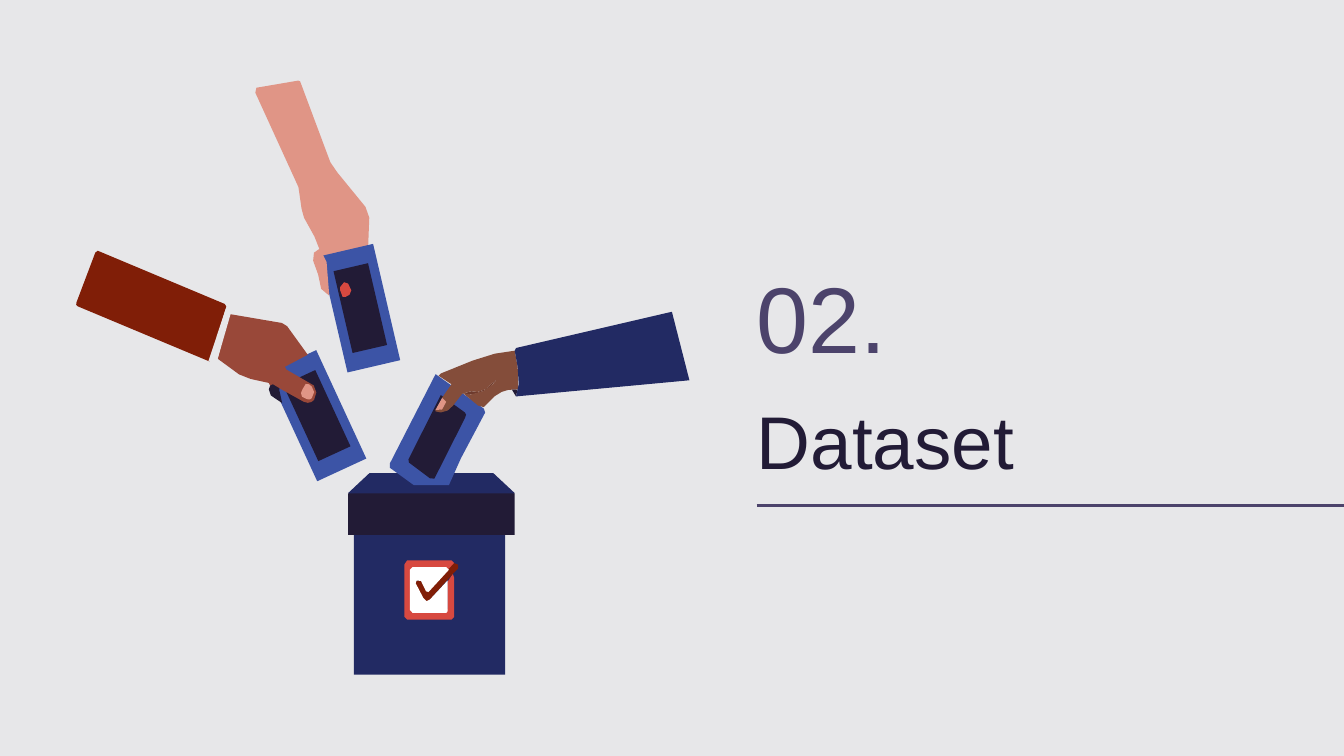
import math
from dataclasses import dataclass

from lxml import etree
from pptx import Presentation
from pptx.dml.color import RGBColor
from pptx.enum import shapes, text
from pptx.oxml.ns import qn
from pptx.util import Pt


@dataclass(frozen=True)
class Theme:
    font: str = "Arial"
    title_size: float = 40
    number_size: float = 50
    background: str = "E7E7E9"
    ink: str = "221B36"
    violet: str = "4C436B"
    navy: str = "222A63"
    blue: str = "3C54A6"
    peach: str = "E09586"
    sienna: str = "994839"
    brown: str = "844D3A"
    crease: str = "6D3A2D"
    maroon: str = "801E07"
    red: str = "D74940"
    white: str = "FFFFFF"


THEME = Theme()
GRID = 0.72
CURVE_STEPS = 4
TOLERANCE = 0.6


def curve_points(start, first, second, end):
    points = []
    for step in range(1, CURVE_STEPS + 1):
        t = step / CURVE_STEPS
        s = 1 - t
        points.append(tuple(
            s**3 * a + 3 * s * s * t * b + 3 * s * t * t * c + t**3 * d
            for a, b, c, d in zip(start, first, second, end)
        ))
    return points


def distance(point, start, end):
    chord = math.dist(start, end)
    if chord < TOLERANCE:
        return math.dist(point, start)
    cross = ((end[0] - start[0]) * (point[1] - start[1])
             - (end[1] - start[1]) * (point[0] - start[0]))
    return abs(cross) / chord


def simplify(points):
    if len(points) < 3:
        return points
    offsets = [distance(point, points[0], points[-1]) for point in points[1:-1]]
    farthest = max(offsets)
    if farthest < TOLERANCE:
        return [points[0], points[-1]]
    split = offsets.index(farthest) + 1
    return simplify(points[:split + 1])[:-1] + simplify(points[split:])


def outline_points(outline):
    points, pending, command = [], [], "M"
    for token in outline.split():
        if token in "MLC":
            command = token
            continue
        pending.append(tuple(float(value) for value in token.split(",")))
        if command != "C":
            points.append(pending.pop())
        elif len(pending) == 3:
            points.extend(curve_points(points[-1], *pending))
            pending = []
    return [(Pt(x * GRID), Pt(y * GRID)) for x, y in simplify(points)]


class SlideBuilder:
    def __init__(self, presentation, theme):
        self.theme = theme
        self.slide = presentation.slides.add_slide(presentation.slide_layouts[0])
        fill = self.slide.background.fill
        fill.solid()
        fill.fore_color.rgb = RGBColor.from_string(theme.background)
        self.group = self.slide.shapes.add_group_shape()

    def placeholder(self, index, words, left, top, width, height, size, color):
        shape = self.slide.placeholders[index]
        shape.left, shape.top, shape.width, shape.height = map(Pt, (left, top, width, height))
        frame = shape.text_frame
        frame.word_wrap = True
        frame.auto_size = text.MSO_AUTO_SIZE.NONE
        frame.vertical_anchor = text.MSO_ANCHOR.MIDDLE
        frame.margin_left = frame.margin_right = Pt(7.2)
        frame.margin_top = frame.margin_bottom = Pt(7.2)
        paragraph = frame.paragraphs[0]
        paragraph.alignment = text.PP_ALIGN.LEFT
        paragraph.space_before = Pt(0)
        run = paragraph.add_run()
        run.text = words
        run.font.name = self.theme.font
        run.font.size = Pt(size)
        run.font.color.rgb = RGBColor.from_string(color)

    def paint(self, shape, color):
        shape.shadow.inherit = False
        shape.fill.solid()
        shape.fill.fore_color.rgb = RGBColor.from_string(color)
        shape.line.fill.background()

    def outline(self, color, path_text):
        points = outline_points(path_text)
        builder = self.group.shapes.build_freeform(*points[0], scale=1.0)
        builder.add_line_segments(points[1:], close=True)
        self.paint(builder.convert_to_shape(), color)

    def rectangle(self, color, left, top, width, height, rotation=0):
        shape = self.group.shapes.add_shape(
            shapes.MSO_SHAPE.RECTANGLE, *map(Pt, (left, top, width, height)))
        shape.rotation = rotation
        self.paint(shape, color)

    def ballot(self, center_x, center_y, rotation):
        for color, width, height in ((self.theme.blue, 64, 29), (self.theme.ink, 45, 19)):
            self.rectangle(color, center_x - width / 2, center_y - height / 2,
                           width, height, rotation)

    def rule(self, left, top, right, color, width):
        connector = self.slide.shapes.add_connector(
            shapes.MSO_CONNECTOR.STRAIGHT, Pt(left), Pt(top), Pt(right), Pt(top))
        connector.line.color.rgb = RGBColor.from_string(color)
        connector.line.width = Pt(width)
        etree.SubElement(connector._element.spPr, qn("a:effectLst"))


def draw_left_arm(builder):
    builder.ballot(169.7, 222.7, 65.2)
    builder.outline(THEME.sienna, """M 208,289 C 214,292 220,295 226,299 230,301 234,299 235,295
        236,291 235,287 231,285 224,281 221,280 213,275 L 212,273 229,264
        C 225,258 221,253 217,247 213,240 207,239 201,239 193,238 186,237 178,235
        L 174,234 C 172,233 171,234 170,236 L 166,252 162,267
        C 167,269 170,273 174,276 179,280 185,282 191,283 L 200,285 201,287 208,289""")
    builder.outline(THEME.maroon, """M 57,225 L 64,207 71,188 C 72,187 72,186 74,187
        L 101,199 166,226 C 168,226 169,227 168,230 L 163,247 156,269 131,259 91,242 58,228
        C 57,227 56,227 57,225""")
    builder.outline(THEME.background, """M 168,230 L 162,249 155,269 160,268 162,267 169,241
        171,235 C 172,234 172,231 170,231""")
    builder.outline(THEME.ink, """M 208,289 L 203,286 201,287
        C 199,291 200,294 204,296 L 210,300 208,291""")
    builder.outline(THEME.peach, """M 225,290 C 223,294 224,295 226,296 230,298 232,298 233,294
        235,291 233,288 230,286 228,285 227,285 225,290""")


def draw_top_arm(builder):
    builder.outline(THEME.peach, """M 272,154 C 267,146 260,139 254,132 250,127 246,123 244,116
        L 229,75 224,62 C 224,61 223,60 222,60 L 192,65 C 190,65 190,67 190,69
        L 218,129 C 221,136 224,142 224,151 224,152 224,155 225,157 226,164 230,170 234,176
        L 238,185 242,196 251,219 C 252,221 253,223 255,224 258,225 260,224 261,223
        263,221 263,214 262,213 L 256,192 256,189 274,183 275,165 C 275,161 274,157 272,154""")
    builder.ballot(193, 165.1, 76.9)
    builder.outline(THEME.peach, """M 243,195 L 243,198 245,220 C 243,219 241,218 239,215
        239,214 238,214 238,211 238,208 237,205 236,202 L 233,194 C 232,189 234,186 238,185
        241,188 241,192 243,195""")
    builder.outline(THEME.red, """M 257,221 L 255,221 C 253,217 252,214 254,212 L 256,210
        C 258,210 259,211 259,211 261,213 262,215 261,218 260,220 258,221 257,221""")


def draw_ballot_box(builder):
    builder.outline(THEME.navy, "M 383,367 L 367,352 275,352 259,367 261,368 381,368")
    builder.rectangle(THEME.navy, 189.6, 276.5, 81, 85)
    builder.outline(THEME.red, """M 337,427 L 338,430 338,459 336,461 303,461 301,459 301,420
        303,417 336,417 338,419 334,424 330,423 308,423 306,426 306,453 308,456 331,456
        333,453 333,433""")
    builder.outline(THEME.maroon, """M 337,427 L 333,432 320,446 C 319,448 317,448 315,446
        L 310,437 C 309,435 309,433 310,432 311,431 313,431 314,433 L 317,439
        C 318,440 319,440 320,439 L 332,426 338,419 C 341,419 342,421 341,423""")
    builder.outline(THEME.white, """M 334,424 L 320,440 C 318,441 318,441 317,440 L 314,433
        C 313,432 312,431 310,432 309,433 309,435 310,436 L 315,445 C 317,448 318,448 320,446
        L 333,432 333,455 332,456 307,456 305,454 305,424 307,422 332,422""")
    builder.rectangle(THEME.ink, 186.5, 264.3, 89.3, 22.3)


def draw_right_arm(builder):
    builder.outline(THEME.blue, """M 343,341 L 361,307 360,304 326,279 C 324,278 324,278 323,280
        L 316,294 290,345 290,348 308,361 334,361""")
    builder.outline(THEME.ink, """M 328,294 L 346,307 C 347,308 347,309 346,311 L 324,355
        C 323,357 322,357 320,356 L 306,345 C 303,344 303,343 305,340 L 327,296""")
    builder.outline(THEME.crease, """M 344,293 L 346,292 C 354,288 354,299 371,281
        369,283 366,288 360,291 354,294 349,294 346,293""")
    builder.outline(THEME.brown, """M 383,261 C 366,261 335,275 328,278 322,280 334,283 336,286
        L 329,296 330,297 C 334,301 328,307 324,305 323,307 327,307 328,307
        336,307 339,298 344,293 L 346,292 C 354,288 354,299 371,281
        369,284 365,288 360,291 353,294 347,294 345,293 346,294 348,295 350,297
        355,301 357,304 360,303 363,300 367,295 371,293 374,291 377,290 381,290
        L 385,290 C 386,290 386,289 386,286 386,277 385,269 383,261""")
    builder.outline(THEME.ink, "M 385,290 L 384,295 383,294 381,290")
    builder.outline(THEME.peach, """M 330,303 C 330,304 329,305 328,305 326,306 325,305 324,305
        L 329,296 332,299""")
    builder.outline(THEME.navy, """M 513,283 L 452,289 384,295 385,290
        C 386,290 386,289 386,286 386,277 385,269 383,261 L 384,259 423,250 500,232""")


def main():
    presentation = Presentation()
    presentation.slide_width, presentation.slide_height = Pt(720), Pt(405)
    builder = SlideBuilder(presentation, THEME)
    builder.placeholder(0, "Dataset", 398.2, 202.3, 278.6, 66.2, THEME.title_size, THEME.ink)
    builder.placeholder(1, "02.", 398.2, 136.1, 113, 66.2, THEME.number_size, THEME.violet)
    builder.rule(405.4, 270.7, 720, THEME.violet, 1.5)
    draw_left_arm(builder)
    draw_top_arm(builder)
    draw_ballot_box(builder)
    draw_right_arm(builder)
    presentation.save("out.pptx")


if __name__ == "__main__":
    main()
